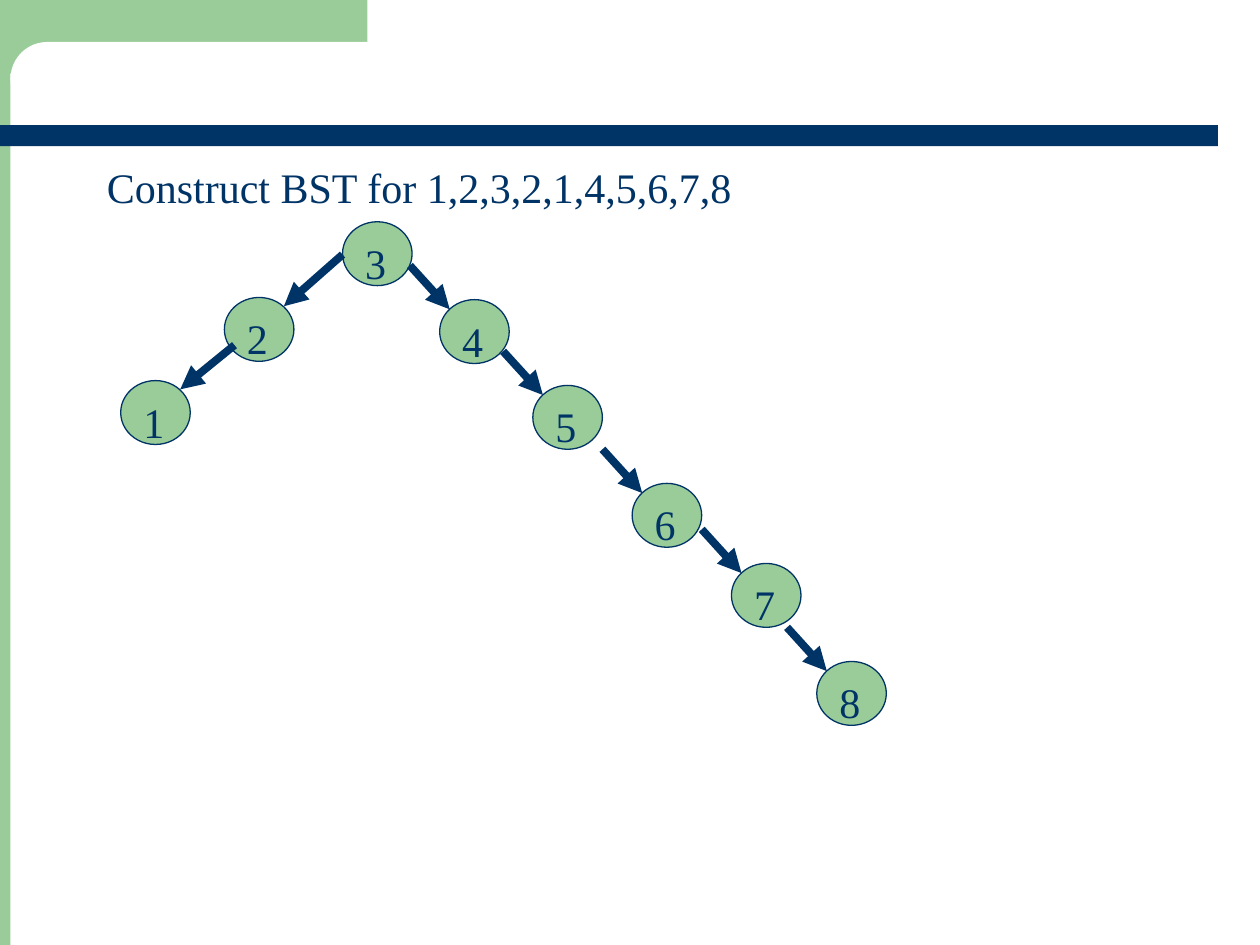
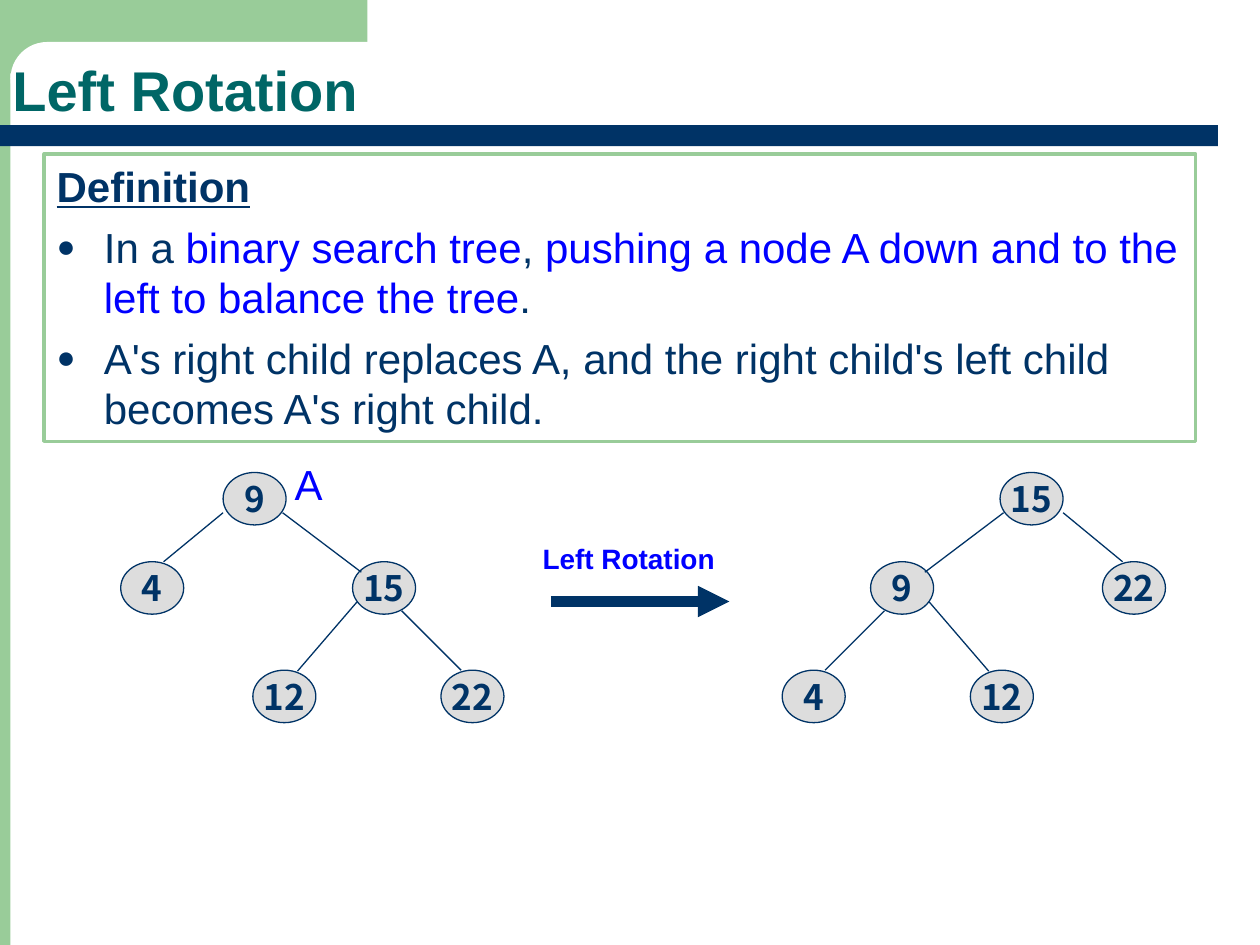
from lxml import etree
from pptx import Presentation
from pptx.dml.color import RGBColor
from pptx.enum.shapes import MSO_CONNECTOR, MSO_SHAPE
from pptx.enum.text import MSO_ANCHOR, PP_ALIGN
from pptx.oxml.ns import qn
from pptx.util import Pt

GREEN = RGBColor(0x99, 0xCC, 0x99)
NAVY = RGBColor(0x00, 0x33, 0x66)
TEAL = RGBColor(0x00, 0x66, 0x66)
BLUE = RGBColor(0x00, 0x00, 0xFF)
GREY = RGBColor(0xDD, 0xDD, 0xDD)
WHITE = RGBColor(0xFF, 0xFF, 0xFF)

SERIF = {"name": "Times New Roman", "size": Pt(24)}
BODY = {"name": "Arial", "size": Pt(24)}
HEADING = {**BODY, "bold": True, "underline": True}
TITLE = {"name": "Arial", "size": Pt(32), "bold": True}
CAPTION = {"name": "Arial", "size": Pt(16), "bold": True}
NODE = {"name": "Noto Sans CJK KR", "size": Pt(20), "bold": True}


def add_box(slide, place, kind=None, fill=None, outline=None, line_width=0.75,
            paragraphs=(), align=PP_ALIGN.LEFT, anchor=MSO_ANCHOR.TOP, wrap=True):
    """Add a shape, or a text box without kind; paragraphs hold (text, colour, font) runs."""
    place = [Pt(value) for value in place]
    if kind is None:
        shape = slide.shapes.add_textbox(*place)
    else:
        shape = slide.shapes.add_shape(kind, *place)
        shape.shadow.inherit = False
        for part, colour in ((shape.fill, fill), (shape.line.fill, outline)):
            if colour is None:
                part.background()
            else:
                part.solid()
                part.fore_color.rgb = colour
        if outline is not None:
            shape.line.width = Pt(line_width)
    frame = shape.text_frame
    frame.word_wrap = wrap
    frame.vertical_anchor = anchor
    for index, runs in enumerate(paragraphs):
        paragraph = frame.add_paragraph() if index else frame.paragraphs[0]
        paragraph.alignment = align
        for text, colour, font in runs:
            run = paragraph.add_run()
            run.text = text
            run.font.color.rgb = colour
            for attribute, value in font.items():
                setattr(run.font, attribute, value)
    return shape


def add_line(slide, start, end, width=0.75, arrow=False):
    points = [Pt(value) for value in (*start, *end)]
    connector = slide.shapes.add_connector(MSO_CONNECTOR.STRAIGHT, *points)
    connector.line.color.rgb = NAVY
    connector.line.width = Pt(width)
    if arrow:
        etree.SubElement(connector.line._get_or_add_ln(), qn("a:tailEnd"), type="triangle")
    etree.SubElement(connector._element.spPr, qn("a:effectLst"))


presentation = Presentation()
presentation.slide_width, presentation.slide_height = Pt(720), Pt(540)
blank = presentation.slide_layouts[6]
tree_slide, rotation_slide = [presentation.slides.add_slide(blank) for _ in range(2)]

# Shared bands
for slide in (tree_slide, rotation_slide):
    add_box(slide, (0, 0, 6, 540), MSO_SHAPE.RECTANGLE, GREEN)
    add_box(slide, (0, 0, 210, 42), MSO_SHAPE.RECTANGLE, GREEN)
    corner = add_box(slide, (6, 24, 402, 42), MSO_SHAPE.ROUNDED_RECTANGLE, WHITE)
    corner.adjustments[0] = 0.5
    add_box(slide, (0, 71.5, 696, 12), MSO_SHAPE.RECTANGLE, NAVY)

# Slide 1: search tree, each node with the arrow that leads to it
add_box(tree_slide, (54, 88.5, 618, 36),
        paragraphs=[[("Construct BST for 1,2,3,2,1,4,5,6,7,8", NAVY, SERIF)]])
ROOT = (195.75, 126.75)
LEFT_NODES = [("2", 128.25, 170, (195.75, 145.5)), ("1", 69, 217.5, (134, 197.25))]
RIGHT_NODES = [("4", 251.25, 171.25), ("5", 304.5, 220.25), ("6", 361.25, 276.25),
               ("7", 418, 322), ("8", 466.75, 378)]
nodes = [("3", *ROOT)] + [node[:3] for node in LEFT_NODES] + RIGHT_NODES
for label, left, top in nodes:
    add_box(tree_slide, (left, top, 39.75, 36.5), MSO_SHAPE.OVAL, GREEN, NAVY,
            paragraphs=[[(label, NAVY, SERIF)]], wrap=False)
for label, left, top, start in LEFT_NODES:
    add_line(tree_slide, start, (left + 34, top + 5), 4.5, arrow=True)
for label, left, top in RIGHT_NODES:
    end = (left + 5.75, top + 5.5)
    add_line(tree_slide, (end[0] - 22.75, end[1] - 25), end, 4.5, arrow=True)

# Slide 2: title and definition
add_box(rotation_slide, (0, 26, 630, 48), anchor=MSO_ANCHOR.BOTTOM,
        paragraphs=[[("Left Rotation", TEAL, TITLE)]]
        ).text_frame.paragraphs[0].line_spacing = 0.9
definition = add_box(
    rotation_slide, (25.25, 88, 658, 164.25), MSO_SHAPE.RECTANGLE,
    outline=GREEN, line_width=2,
    paragraphs=[
        [("Definition", NAVY, HEADING)],
        [("In a ", NAVY, BODY), ("binary search tree", BLUE, BODY), (", ", NAVY, BODY),
         ("pushing a node A down and to the left to balance the tree", BLUE, BODY),
         (".", NAVY, BODY)],
        [("A's right child replaces A, and the right child's left child "
          "becomes A's right child.", NAVY, BODY)],
    ])
for paragraph in definition.text_frame.paragraphs[1:]:
    paragraph.space_before = Pt(6)
    properties = paragraph._p.get_or_add_pPr()
    properties.set("marL", str(Pt(27)))
    properties.set("indent", str(-Pt(27)))
    bullet_colour = etree.SubElement(properties, qn("a:buClr"))
    etree.SubElement(bullet_colour, qn("a:srgbClr"), val=str(NAVY))
    etree.SubElement(properties, qn("a:buSzPct"), val="75000")
    etree.SubElement(properties, qn("a:buFont"), typeface="Arial")
    etree.SubElement(properties, qn("a:buChar"), char="●")

# Rotation arrow and caption
add_line(rotation_slide, (314.75, 343.75), (416.75, 343.75), 6, arrow=True)
add_box(rotation_slide, (303, 306, 113, 26.5),
        paragraphs=[[("Left Rotation", BLUE, CAPTION)]])

# Tree before rotation, and its mirror image after it
NODE_WIDTH, NODE_HEIGHT, MIRROR_SUM = 36, 30, 735
NODES = [("9", "15", 127.5, 270), ("4", "22", 69, 321), ("15", "9", 201.5, 321),
         ("12", "12", 144.5, 383), ("22", "4", 252, 383)]
EDGES = [((127.5, 293), (93.5, 321)), ((161.5, 293), (206.5, 327)),
         ((204, 344), (170, 383.5)), ((229.5, 349), (263.5, 383))]
for mirrored in (False, True):
    for before, after, left, top in NODES:
        label = after if mirrored else before
        x = MIRROR_SUM - left - NODE_WIDTH if mirrored else left
        add_box(rotation_slide, (x, top, NODE_WIDTH, NODE_HEIGHT), MSO_SHAPE.OVAL,
                GREY, NAVY, paragraphs=[[(label, NAVY, NODE)]],
                align=PP_ALIGN.CENTER, anchor=MSO_ANCHOR.MIDDLE, wrap=False)
    for edge in EDGES:
        start, end = [(MIRROR_SUM - x if mirrored else x, y) for x, y in edge]
        add_line(rotation_slide, start, end)
add_box(rotation_slide, (161.25, 258.5, 34, 36), paragraphs=[[("A", BLUE, BODY)]])

presentation.save("out.pptx")
